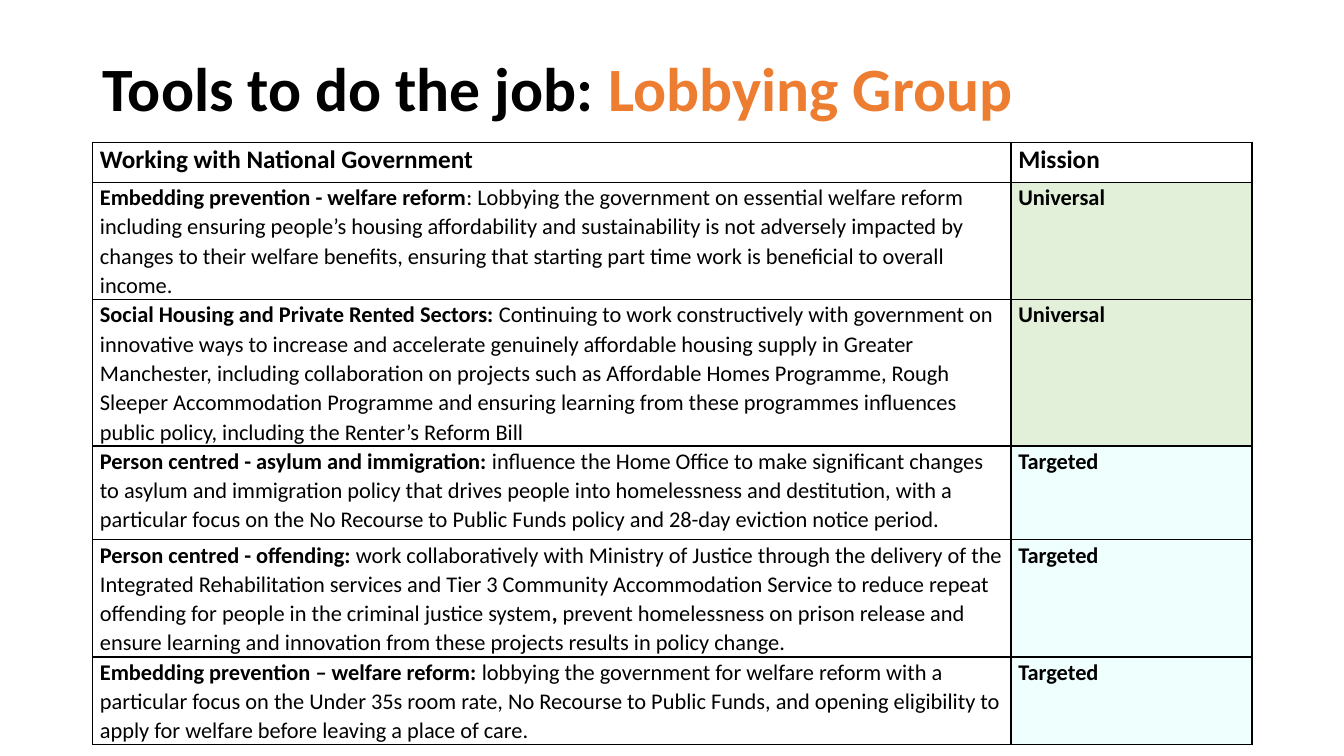
"""Build the Lobbying Group slide with its table of work with National Government."""
from dataclasses import dataclass

import lxml.etree
import pptx
import pptx.dml.color
import pptx.enum.text
import pptx.oxml.ns
import pptx.util

COLOURS = {
    "text": "000000",
    "accent": "ED7D31",
    "border": "000000",
    "Universal": "E2EFD9",
    "Targeted": "EFFFFE",
}
FONT = "Calibri"
SLIDE_WIDTH = pptx.util.Inches(13.33)
SLIDE_HEIGHT = pptx.util.Inches(7.5)
LEFT, WIDTH = 6.9, 86.25
TITLE_TOP, TITLE_HEIGHT = 5.2, 13.73
TABLE_TOP = 18.8
COLUMN_WIDTHS = (68.33, 17.92)
HEADER_HEIGHT = 5.33
HEADINGS = ("Working with National Government", "Mission")
CELL_MARGIN = 0.54


@dataclass(frozen=True)
class Span:
    text: str
    bold: bool = False
    colour: str | None = None


@dataclass(frozen=True)
class Action:
    mission: str
    height: float
    spans: tuple[Span, ...]
    middle: bool = False


ACTIONS = (
    Action("Universal", 12.4, (
        Span("Embedding prevention - welfare reform", True),
        Span(": Lobbying the government on essential welfare reform including ensuring "
             "people’s housing affordability and sustainability is not adversely impacted "
             "by changes to their welfare benefits, ensuring that starting part time work "
             "is beneficial to overall income."),
    ), middle=True),
    Action("Universal", 16.53, (
        Span("Social Housing and Private Rented Sectors:", True),
        Span(" Continuing to work constructively with government on innovative ways to "
             "increase and accelerate genuinely affordable housing supply in Greater "
             "Manchester, including collaboration on projects such as Affordable Homes "
             "Programme, Rough Sleeper Accommodation Programme and ensuring learning from "
             "these programmes influences public policy, including the Renter’s Reform Bill"),
    ), middle=True),
    Action("Targeted", 12.4, (
        Span("Person centred - asylum and immigration: ", True),
        Span("influence the Home Office to make significant changes to asylum and "
             "immigration policy that drives people into homelessness and destitution, "
             "with a particular focus on the No Recourse to Public Funds policy and "
             "28-day eviction notice period."),
    )),
    Action("Targeted", 12.4, (
        Span("Person centred - offending: ", True),
        Span("work collaboratively with Ministry of Justice through the delivery of the "
             "Integrated Rehabilitation services and Tier 3 Community Accommodation "
             "Service to reduce repeat offending for people in the criminal justice system"),
        Span(", ", True),
        Span("prevent homelessness on prison release and ensure learning and innovation "
             "from these projects results in policy change."),
    )),
    Action("Targeted", 11.6, (
        Span("Embedding prevention – welfare reform:", True),
        Span(" lobbying the government for welfare reform with a particular focus on the "
             "Under 35s room rate, No Recourse to Public Funds, and opening eligibility "
             "to apply for welfare before leaving a place of care."),
    )),
)


def across(percent: float) -> int:
    return round(SLIDE_WIDTH * percent / 100)


def down(percent: float) -> int:
    return round(SLIDE_HEIGHT * percent / 100)


def rgb(name: str) -> pptx.dml.color.RGBColor:
    return pptx.dml.color.RGBColor.from_string(COLOURS[name])


def write_spans(para, spans: tuple[Span, ...], size: float, line_spacing: float,
                space_after: float = 0) -> None:
    para.alignment = pptx.enum.text.PP_ALIGN.LEFT
    para.line_spacing = line_spacing
    para.space_before = pptx.util.Pt(0)
    para.space_after = pptx.util.Pt(space_after)
    para.font.name = FONT
    para.font.size = pptx.util.Pt(size)
    para.font.color.rgb = rgb("text")
    for span in spans:
        run = para.add_run()
        run.text = span.text
        run.font.bold = span.bold
        if span.colour:
            run.font.color.rgb = rgb(span.colour)


def add_borders(cell) -> None:
    properties = cell._tc.get_or_add_tcPr()
    qn = pptx.oxml.ns.qn
    for position, side in enumerate(("a:lnL", "a:lnR", "a:lnT", "a:lnB")):
        line = lxml.etree.Element(qn(side), w=str(pptx.util.Pt(1)))
        fill = lxml.etree.SubElement(line, qn("a:solidFill"))
        lxml.etree.SubElement(fill, qn("a:srgbClr"), val=COLOURS["border"])
        properties.insert(position, line)


def fill_cell(cell, spans: tuple[Span, ...], size: float, space_after: float = 0,
              colour: str | None = None, middle: bool = False) -> None:
    anchors = pptx.enum.text.MSO_ANCHOR
    cell.margin_left = cell.margin_right = across(CELL_MARGIN)
    cell.margin_top = cell.margin_bottom = 0
    cell.vertical_anchor = anchors.MIDDLE if middle else anchors.TOP
    if colour:
        cell.fill.solid()
        cell.fill.fore_color.rgb = rgb(colour)
    else:
        cell.fill.background()
    add_borders(cell)
    write_spans(cell.text_frame.paragraphs[0], spans, size, 1.07, space_after)


def write_title(page) -> None:
    box = page.shapes.title
    box.left, box.top = across(LEFT), down(TITLE_TOP)
    box.width, box.height = across(WIDTH), down(TITLE_HEIGHT)
    frame = box.text_frame
    frame.word_wrap = True
    frame.auto_size = pptx.enum.text.MSO_AUTO_SIZE.NONE
    frame.vertical_anchor = pptx.enum.text.MSO_ANCHOR.MIDDLE
    spans = (Span("Tools to do the job: ", True), Span("Lobbying Group", True, "accent"))
    write_spans(frame.paragraphs[0], spans, 44, 0.9)


def add_action_table(page) -> None:
    heights = (HEADER_HEIGHT, *(action.height for action in ACTIONS))
    table = page.shapes.add_table(
        len(heights), len(COLUMN_WIDTHS), across(LEFT), down(TABLE_TOP),
        across(WIDTH), down(sum(heights))).table
    table.first_row = table.horz_banding = False
    for column, width in zip(table.columns, COLUMN_WIDTHS):
        column.width = across(width)
    for row, height in zip(table.rows, heights):
        row.height = down(height)
    for index, heading in enumerate(HEADINGS):
        fill_cell(table.cell(0, index), (Span(heading, True),), 18)
    for index, action in enumerate(ACTIONS, start=1):
        fill_cell(table.cell(index, 0), action.spans, 16, 8, middle=action.middle)
        fill_cell(table.cell(index, 1), (Span(action.mission, True),), 16, 8, action.mission)


def main() -> None:
    deck = pptx.Presentation()
    deck.slide_width, deck.slide_height = SLIDE_WIDTH, SLIDE_HEIGHT
    page = deck.slides.add_slide(deck.slide_layouts.get_by_name("Title Only"))
    write_title(page)
    add_action_table(page)
    deck.save("out.pptx")


if __name__ == "__main__":
    main()
